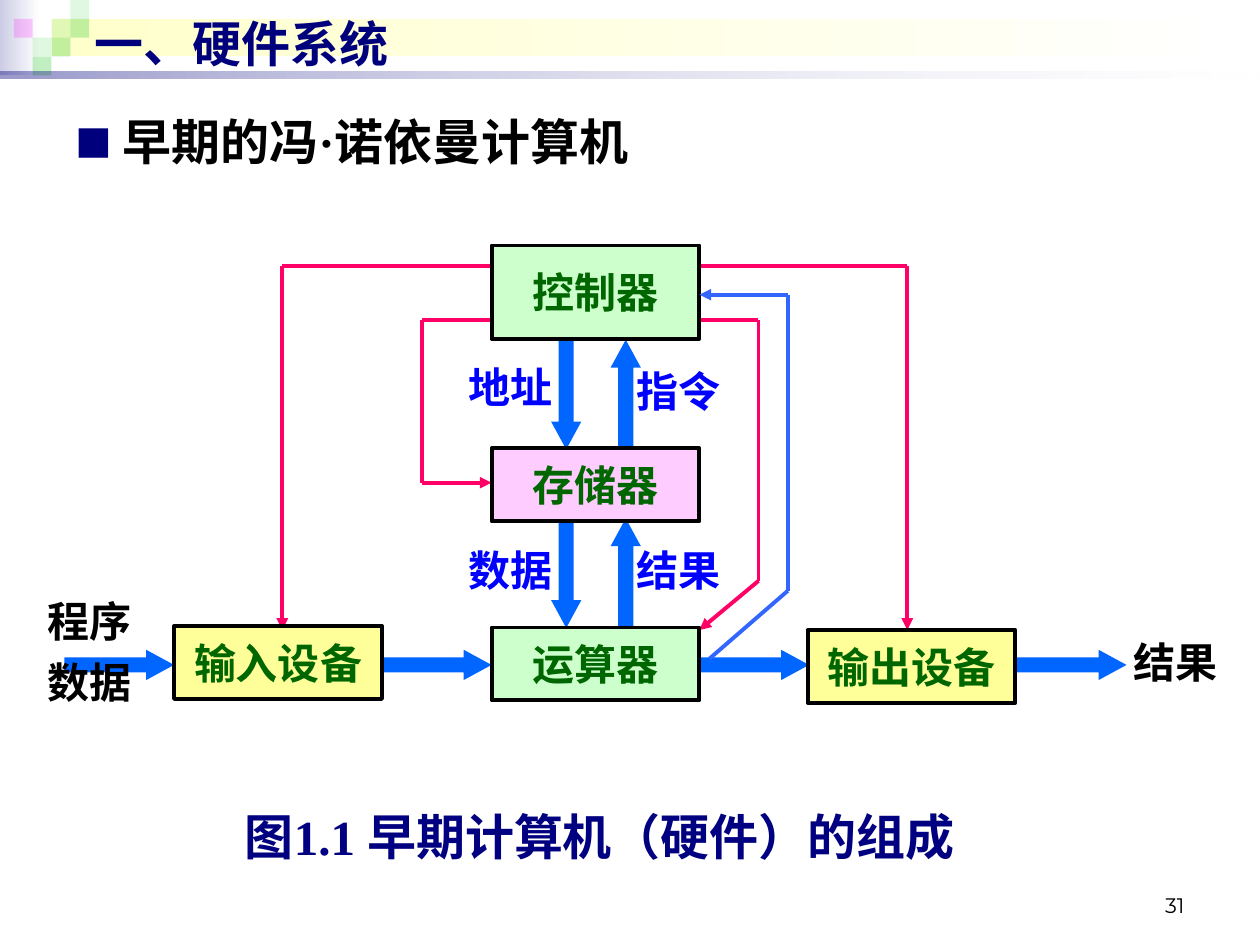
"""Build the slide on the early von Neumann computer and its block diagram."""
from itertools import pairwise

from lxml import etree
from pptx import Presentation
from pptx.dml.color import RGBColor
from pptx.enum.shapes import MSO_CONNECTOR, MSO_SHAPE
from pptx.enum.text import MSO_ANCHOR, PP_ALIGN
from pptx.oxml.ns import qn
from pptx.util import Cm, Pt

RECTANGLE = MSO_SHAPE.RECTANGLE
RIGHT, UP, DOWN = MSO_SHAPE.RIGHT_ARROW, MSO_SHAPE.UP_ARROW, MSO_SHAPE.DOWN_ARROW
STRAIGHT = MSO_CONNECTOR.STRAIGHT
TOP, MIDDLE, BOTTOM = MSO_ANCHOR.TOP, MSO_ANCHOR.MIDDLE, MSO_ANCHOR.BOTTOM
ALIGN_LEFT, ALIGN_CENTER, ALIGN_RIGHT = PP_ALIGN.LEFT, PP_ALIGN.CENTER, PP_ALIGN.RIGHT

BLACK = RGBColor(0x00, 0x00, 0x00)
WHITE = RGBColor(0xFF, 0xFF, 0xFF)
NAVY = RGBColor(0x00, 0x00, 0x7D)
CAPTION_NAVY = RGBColor(0x00, 0x00, 0x80)
LAVENDER = RGBColor(0xCC, 0xCC, 0xE6)
CREAM = RGBColor(0xFF, 0xFF, 0xCC)
GREEN = RGBColor(0x33, 0xCC, 0x33)
MAGENTA = RGBColor(0xFF, 0x00, 0xFF)
FLOW_BLUE = RGBColor(0x00, 0x66, 0xFF)
LABEL_BLUE = RGBColor(0x00, 0x00, 0xFF)
CONTROL_RED = RGBColor(0xFF, 0x00, 0x66)
FEEDBACK_BLUE = RGBColor(0x33, 0x66, 0xFF)
UNIT_TEXT = RGBColor(0x00, 0x66, 0x00)
YELLOW = RGBColor(0xFF, 0xFF, 0x99)
PINK = RGBColor(0xFF, 0xCC, 0xFF)
MINT = RGBColor(0xCC, 0xFF, 0xCC)

CJK_FONT = "Noto Sans CJK SC"
SERIF_FONT = "Times New Roman"


def place(shape, left, top, width, height):
    """Move and size a shape, in centimetres."""
    shape.left, shape.top = Cm(left), Cm(top)
    shape.width, shape.height = Cm(width), Cm(height)


def write(shape, text, size=24, color=BLACK, font=SERIF_FONT, bold=True,
          align=ALIGN_LEFT, anchor=TOP, wrap=True, bullet=None, gap=6):
    """Write text into a shape, one paragraph per line."""
    frame = shape.text_frame
    frame.word_wrap = wrap
    frame.vertical_anchor = anchor
    for index, line in enumerate(text.split("\n")):
        paragraph = frame.add_paragraph() if index else frame.paragraphs[0]
        paragraph.alignment = align
        paragraph.space_before = Pt(gap if index else 0)
        if bullet:
            add_bullet(paragraph, bullet)
        run = paragraph.add_run()
        run.text = line
        run.font.size, run.font.bold, run.font.name = Pt(size), bold, font
        run.font.color.rgb = color
        etree.SubElement(run.font._element, qn("a:ea"), typeface=CJK_FONT)


def add_bullet(paragraph, character):
    """Give a paragraph a hanging navy bullet."""
    properties = paragraph._p.get_or_add_pPr()
    properties.set("marL", str(Cm(0.95)))
    properties.set("indent", str(Cm(-0.95)))
    color = etree.SubElement(properties, qn("a:buClr"))
    etree.SubElement(color, qn("a:srgbClr"), val=str(NAVY))
    etree.SubElement(properties, qn("a:buSzPct"), val="75000")
    etree.SubElement(properties, qn("a:buFont"), typeface=CJK_FONT)
    etree.SubElement(properties, qn("a:buChar"), char=character)


def add_label(slide, text, box, **style):
    """Add a text box."""
    label = slide.shapes.add_textbox(*map(Cm, box))
    write(label, text, **style)


def add_block(slide, kind, box, *colors, opacity=()):
    """Add an unlined shape with one fill colour, or two for a gradient."""
    block = slide.shapes.add_shape(kind, *map(Cm, box))
    block.shadow.inherit = False
    block.line.fill.background()
    if len(colors) == 1:
        block.fill.solid()
        block.fill.fore_color.rgb = colors[0]
    else:
        block.fill.gradient()
        block.fill.gradient_angle = 0
        for stop, color in zip(block.fill.gradient_stops, colors):
            stop.color.rgb = color
    for color, percent in zip(block._element.spPr.iter(qn("a:srgbClr")), opacity):
        etree.SubElement(color, qn("a:alpha"), val=str(percent * 1000))
    return block


def add_flow(slide, kind, box):
    """Add a thick data-flow arrow."""
    flow = add_block(slide, kind, box, FLOW_BLUE)
    flow.adjustments[0], flow.adjustments[1] = 0.5, 0.92


def add_unit(slide, name, box, color):
    """Add an outlined, named hardware unit."""
    unit = add_block(slide, RECTANGLE, box, color)
    unit.line.color.rgb, unit.line.width = BLACK, Pt(2.25)
    write(unit, name, color=UNIT_TEXT, align=ALIGN_CENTER, anchor=MIDDLE, wrap=False)


def add_route(slide, points, color):
    """Draw straight segments through the points, ending in an arrowhead."""
    for start, end in pairwise(points):
        segment = slide.shapes.add_connector(STRAIGHT, *map(Cm, start + end))
        segment.line.color.rgb, segment.line.width = color, Pt(2.25)
        if end == points[-1]:
            etree.SubElement(segment.line._get_or_add_ln(), qn("a:tailEnd"), type="triangle")
        etree.SubElement(segment._element.spPr, qn("a:effectLst"))


def add_header(slide):
    """Add the header bands and the mosaic of small squares."""
    add_block(slide, RECTANGLE, (0, 0, 0.79, 1.52), LAVENDER, WHITE)
    add_block(slide, RECTANGLE, (1.04, 0.38, 24.26, 0.76), CREAM, WHITE)
    side = 0.38
    for column, row, color, percent in (
            (2, 1, GREEN, 15), (3, 0, GREEN, 15), (3, 1, GREEN, 30), (1, 2, GREEN, 15),
            (0, 1, MAGENTA, 20), (2, 2, GREEN, 30), (1, 3, GREEN, 30)):
        add_block(slide, RECTANGLE, (0.28 + column * side, row * side, side, side),
                  color, opacity=(percent,))
    add_block(slide, RECTANGLE, (0, 1.45, 25.4, 0.13), NAVY, WHITE, opacity=(40, 10))


def add_headings(slide):
    """Fill the title and body placeholders in front of the header."""
    title, body = slide.shapes.title, slide.placeholders[1]
    place(title, 1.65, 0.13, 22.86, 1.45)
    write(title, "一、硬件系统", size=28, color=NAVY, font="Arial", anchor=MIDDLE)
    place(body, 1.27, 2.13, 23.24, 15.19)
    write(body, "早期的冯·诺依曼计算机", size=28, bullet="■")
    for heading in (title, body):
        slide.shapes._spTree.append(heading._element)


def add_diagram(slide):
    """Draw the flows, control lines, labels and hardware units."""
    length, breadth = 2.21, 0.61
    for step in range(4):
        add_flow(slide, RIGHT, (1.3 + 6.4 * step, 13.1, length, breadth))
    for top in (6.85, 10.45):
        add_flow(slide, DOWN, (11.11, top, breadth, length))
        add_flow(slide, UP, (12.31, top, breadth, length))

    unit_left, unit_right = 9.91, 14.1
    for route in (
            ((unit_left, 5.36), (5.69, 5.36), (5.69, 12.7)),
            ((unit_right, 5.36), (18.29, 5.36), (18.29, 12.7)),
            ((unit_left, 6.45), (8.51, 6.45), (8.51, 9.73), (unit_left, 9.73)),
            ((unit_right, 6.45), (15.29, 6.45), (15.29, 11.71), (unit_right, 12.7))):
        add_route(slide, route, CONTROL_RED)

    add_label(slide, "程序\n数据", (0.71, 11.89, 2.79, 2.79))
    add_label(slide, "结果", (22, 12.7, 2.79, 1.27), align=ALIGN_RIGHT)
    for text, left, top in (("地址", 8.89, 7.16), ("指令", 12.29, 7.24),
                            ("数据", 8.89, 10.85), ("结果", 12.29, 10.85)):
        add_label(slide, text, (left, top, 2.79, 1.27), color=LABEL_BLUE, align=ALIGN_CENTER)

    for name, left, top, height, color in (
            ("输入设备", 3.51, 12.62, 1.47, YELLOW),
            ("存储器", unit_left, 9.04, 1.47, PINK),
            ("输出设备", 16.28, 12.7, 1.47, YELLOW),
            ("运算器", unit_left, 12.65, 1.47, MINT),
            ("控制器", unit_left, 4.95, 1.88, MINT)):
        add_unit(slide, name, (left, top, 4.19, height), color)

    feedback = ((14.3, 13.28), (15.88, 11.91), (15.88, 5.94), (unit_right, 5.94))
    add_route(slide, feedback, FEEDBACK_BLUE)


def main():
    """Build and save the slide."""
    deck = Presentation()
    deck.slide_width, deck.slide_height = Cm(25.4), Cm(19.05)
    slide = deck.slides.add_slide(deck.slide_layouts[1])
    add_header(slide)
    add_headings(slide)
    add_label(slide, "31", (18.21, 17.35, 5.92, 1.27), size=12, font="Montserrat",
              bold=False, align=ALIGN_RIGHT, anchor=BOTTOM)
    add_label(slide, "图1.1 早期计算机（硬件）的组成", (4.29, 16.13, 15.6, 1.45),
              size=28, color=CAPTION_NAVY, align=ALIGN_CENTER)
    add_diagram(slide)
    deck.save("out.pptx")


if __name__ == "__main__":
    main()
